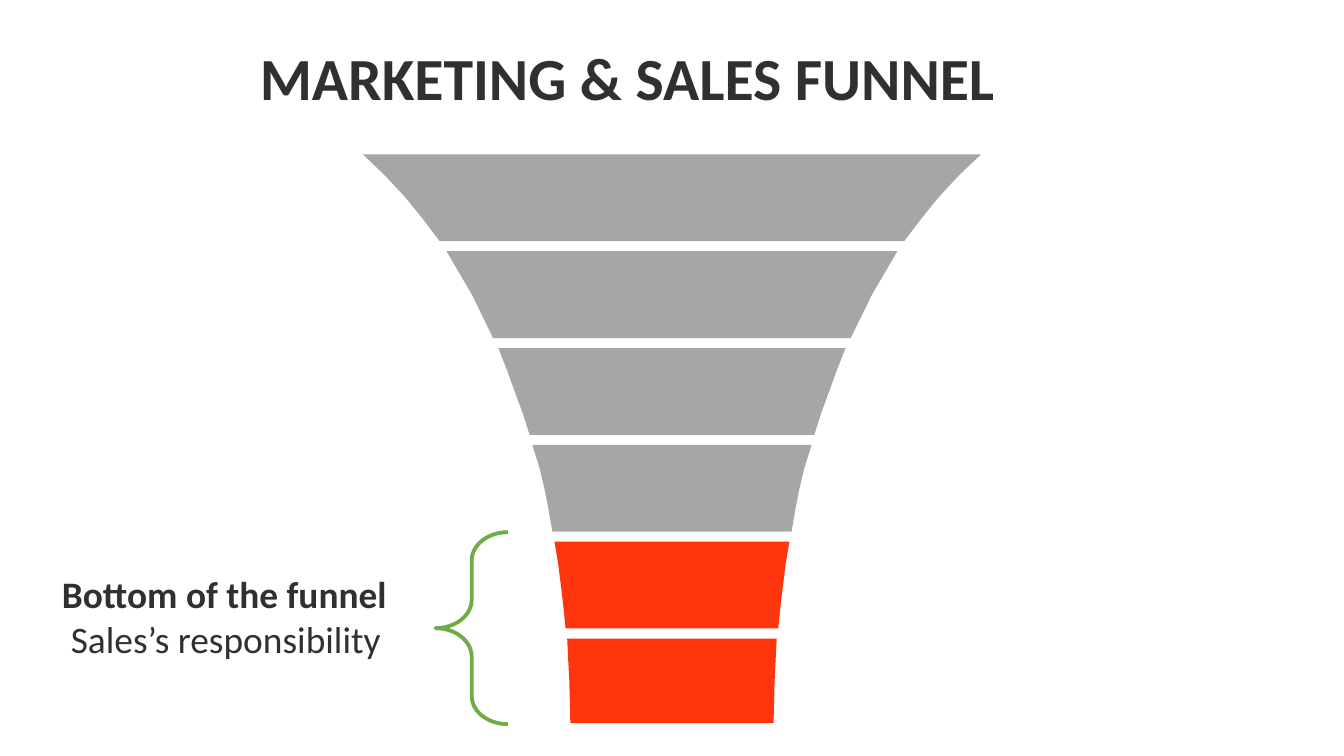
from dataclasses import dataclass

from pptx import Presentation
from pptx.dml.color import RGBColor
from pptx.enum.shapes import MSO_SHAPE
from pptx.util import Cm, Pt

LEFT_BRACE = MSO_SHAPE.LEFT_BRACE


@dataclass(frozen=True)
class Theme:
    font: str = "Calibri"
    ink: RGBColor = RGBColor(0x30, 0x30, 0x30)
    muted: RGBColor = RGBColor(0xA6, 0xA6, 0xA6)
    accent: RGBColor = RGBColor(0xFF, 0x35, 0x0D)
    brace: RGBColor = RGBColor(0x6F, 0xAC, 0x46)
    title_size: Pt = Pt(32)
    label_size: Pt = Pt(20)


@dataclass(frozen=True)
class Band:
    half_widths: tuple[float, ...]
    color: RGBColor
    height: float = 1.64


@dataclass(frozen=True)
class Line:
    text: str
    size: Pt
    bold: bool = True
    indent: float = 0.03


THEME = Theme()
CENTER = 12.7
FUNNEL_TOP = 2.92
PITCH = 1.83

BANDS = (
    Band((5.84, 5.41, 5.03, 4.7, 4.39), THEME.muted),
    Band((4.26, 4.02, 3.78, 3.58, 3.38), THEME.muted),
    Band((3.28, 3.12, 2.97, 2.82, 2.69), THEME.muted),
    Band((2.64, 2.51, 2.41, 2.33, 2.26), THEME.muted),
    Band((2.22, 2.15, 2.1, 2.05, 2.01), THEME.accent),
    Band((1.98, 1.96, 1.94, 1.93, 1.92), THEME.accent, 1.6),
)


def draw_band(s, band: Band, top: float) -> None:
    step = band.height / (len(band.half_widths) - 1)
    edge = [(w, top + i * step) for i, w in enumerate(band.half_widths)]
    outline = [(CENTER - w, y) for w, y in edge]
    outline += [(CENTER + w, y) for w, y in reversed(edge)]
    points = [(Cm(x), Cm(y)) for x, y in outline]
    builder = s.shapes.build_freeform(*points[0])
    builder.add_line_segments(points[1:], close=True)
    sp = builder.convert_to_shape()
    sp.shadow.inherit = False
    sp.fill.solid()
    sp.fill.fore_color.rgb = band.color
    sp.line.fill.background()


def draw_brace(s, x: float, y: float, w: float, h: float) -> None:
    sp = s.shapes.add_shape(LEFT_BRACE, Cm(x), Cm(y), Cm(w), Cm(h))
    sp.shadow.inherit = False
    sp.adjustments[0] = 0.39
    sp.fill.background()
    sp.line.color.rgb = THEME.brace
    sp.line.width = Pt(2.04)


def draw_text(s, x: float, y: float, w: float, h: float, lines: list[Line]) -> None:
    tf = s.shapes.add_textbox(Cm(x), Cm(y), Cm(w), Cm(h)).text_frame
    frame_format = {
        "word_wrap": True,
        "margin_left": 0,
        "margin_top": Cm(0.03),
        "margin_right": 0,
        "margin_bottom": 0,
    }
    for name, value in frame_format.items():
        setattr(tf, name, value)
    for i, line in enumerate(lines):
        p = tf.add_paragraph() if i else tf.paragraphs[0]
        p._p.get_or_add_pPr().set("marL", str(Cm(line.indent)))
        r = p.add_run()
        r.text = line.text
        font_format = {"name": THEME.font, "size": line.size, "bold": line.bold}
        for name, value in font_format.items():
            setattr(r.font, name, value)
        r.font.color.rgb = THEME.ink


def main() -> None:
    prs = Presentation()
    prs.slide_width, prs.slide_height = Cm(25.4), Cm(14.29)
    s = prs.slides.add_slide(prs.slide_layouts[6])
    for i, band in enumerate(BANDS):
        draw_band(s, band, FUNNEL_TOP + i * PITCH)
    draw_brace(s, 8.23, 10.06, 1.37, 3.63)
    draw_text(s, 1.14, 10.77, 6.55, 1.78, [
        Line("Bottom of the funnel", THEME.label_size),
        Line("Sales’s responsibility", THEME.label_size, bold=False, indent=0.2),
    ])
    draw_text(s, 4.88, 0.74, 15.65, 1.42, [
        Line("MARKETING & SALES FUNNEL", THEME.title_size),
    ])
    prs.save("out.pptx")


if __name__ == "__main__":
    main()
